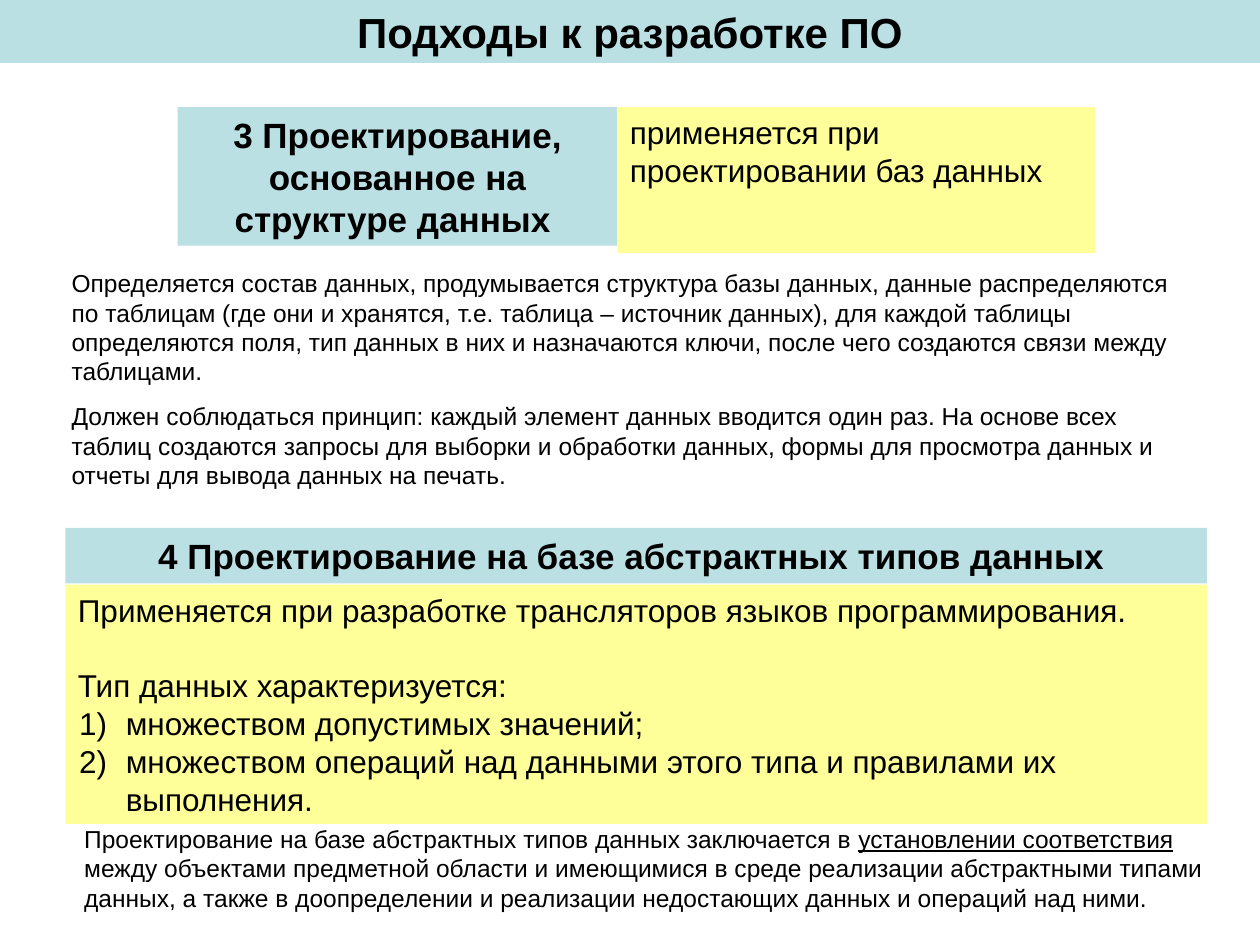
from lxml.etree import SubElement
from pptx import Presentation
from pptx.dml.color import RGBColor
from pptx.enum.shapes import MSO_SHAPE as Preset
from pptx.enum.text import MSO_ANCHOR as Anchor, MSO_AUTO_SIZE as AutoSize, PP_ALIGN as Align
from pptx.oxml.ns import qn
from pptx.util import Inches, Pt

COLUMNS, ROWS = 100, 75
BLACK = RGBColor(0x00, 0x00, 0x00)
BLUE = RGBColor(0xBB, 0xE0, 0xE3)
YELLOW = RGBColor(0xFF, 0xFF, 0x99)


def number_paragraph(paragraph):
    """Give the paragraph a hanging automatic number such as 1)."""
    properties = paragraph._p.get_or_add_pPr()
    properties.set("marL", str(Inches(0.38)))
    properties.set("indent", str(Inches(-0.37)))
    SubElement(properties, qn("a:buAutoNum"), type="arabicParenR")


def write_text(paragraph, text, size=14, bold=False, align=Align.LEFT,
               space_before=0, numbered=False, underlined=""):
    """Fill the paragraph; the part of text equal to underlined gets a line below."""
    if numbered:
        number_paragraph(paragraph)
    paragraph.alignment = align
    paragraph.space_before = Pt(space_before)
    before, match, after = text.partition(underlined) if underlined else (text, "", "")
    for part in filter(None, (before, match, after)):
        run = paragraph.add_run()
        run.text = part
        font = run.font
        font.name, font.size, font.bold = "Arial", Pt(size), bold
        font.color.rgb = BLACK
        if part == underlined:
            font.underline = True


class SlideBuilder:
    def __init__(self, presentation):
        self.slide = presentation.slides.add_slide(presentation.slide_layouts[6])
        self.column = presentation.slide_width / COLUMNS
        self.row = presentation.slide_height / ROWS

    def place(self, left, top, width, height):
        return (round(left * self.column), round(top * self.row),
                round(width * self.column), round(height * self.row))

    def fill_frame(self, shape, paragraphs, **style):
        """Write (text, own format) pairs, with style as their common format."""
        frame = shape.text_frame
        frame.word_wrap = True
        frame.auto_size = AutoSize.SHAPE_TO_FIT_TEXT
        frame.vertical_anchor = Anchor.TOP
        for index, (text, own_style) in enumerate(paragraphs):
            paragraph = frame.add_paragraph() if index else frame.paragraphs[0]
            write_text(paragraph, text, **{**style, **own_style})

    def panel(self, area, color, paragraphs, **style):
        shape = self.slide.shapes.add_shape(Preset.RECTANGLE, *self.place(*area))
        shape.shadow.inherit = False
        shape.fill.solid()
        shape.fill.fore_color.rgb = color
        shape.line.fill.background()
        self.fill_frame(shape, paragraphs, **style)

    def heading(self, area, text, size=20):
        self.panel(area, BLUE, [(text, {})], size=size, bold=True, align=Align.CENTER)

    def note(self, area, paragraphs):
        shape = self.slide.shapes.add_textbox(*self.place(*area))
        self.fill_frame(shape, paragraphs)


def main():
    presentation = Presentation()
    presentation.slide_width, presentation.slide_height = Inches(10), Inches(7.5)
    builder = SlideBuilder(presentation)

    builder.heading((0, 0, COLUMNS, 5), "Подходы к разработке ПО", size=24)

    builder.heading((14.1, 8.5, 34.9, 11),
                    "3 Проектирование, основанное на структуре данных ")
    builder.panel((49, 8.5, 37.9, 11.6), YELLOW,
                  [("применяется при проектировании баз данных", {})], size=18)
    builder.note((4.7, 20.8, 89.6, 18.6), [
        ("Определяется состав данных, продумывается структура базы данных, данные "
         "распределяются по таблицам (где они и хранятся, т.е. таблица – источник данных), "
         "для каждой таблицы определяются поля, тип данных в них и назначаются ключи, "
         "после чего создаются связи между таблицами.", {}),
        ("Должен соблюдаться принцип: каждый элемент данных вводится один раз. На основе "
         "всех таблиц создаются запросы для выборки и обработки данных, формы для просмотра "
         "данных и отчеты для вывода данных на печать.", {"space_before": 8.8}),
    ])

    builder.heading((5.2, 41.9, 90.6, 4.4),
                    "4 Проектирование на базе абстрактных типов данных ")
    builder.panel((5.2, 46.4, 90.6, 19), YELLOW, [
        ("Применяется при разработке трансляторов языков программирования.", {}),
        ("Тип данных характеризуется:", {"space_before": 21.6}),
        ("множеством допустимых значений;", {"numbered": True}),
        ("множеством операций над данными этого типа и правилами их выполнения.",
         {"numbered": True}),
    ], size=18)
    builder.note((5.7, 64.9, 91, 10.4), [
        ("Проектирование на базе абстрактных типов данных заключается в установлении "
         "соответствия между объектами предметной области и имеющимися в среде реализации "
         "абстрактными типами данных, а также в доопределении и реализации недостающих "
         "данных и операций над ними.", {"underlined": "установлении соответствия"}),
    ])

    presentation.save("out.pptx")


if __name__ == "__main__":
    main()
